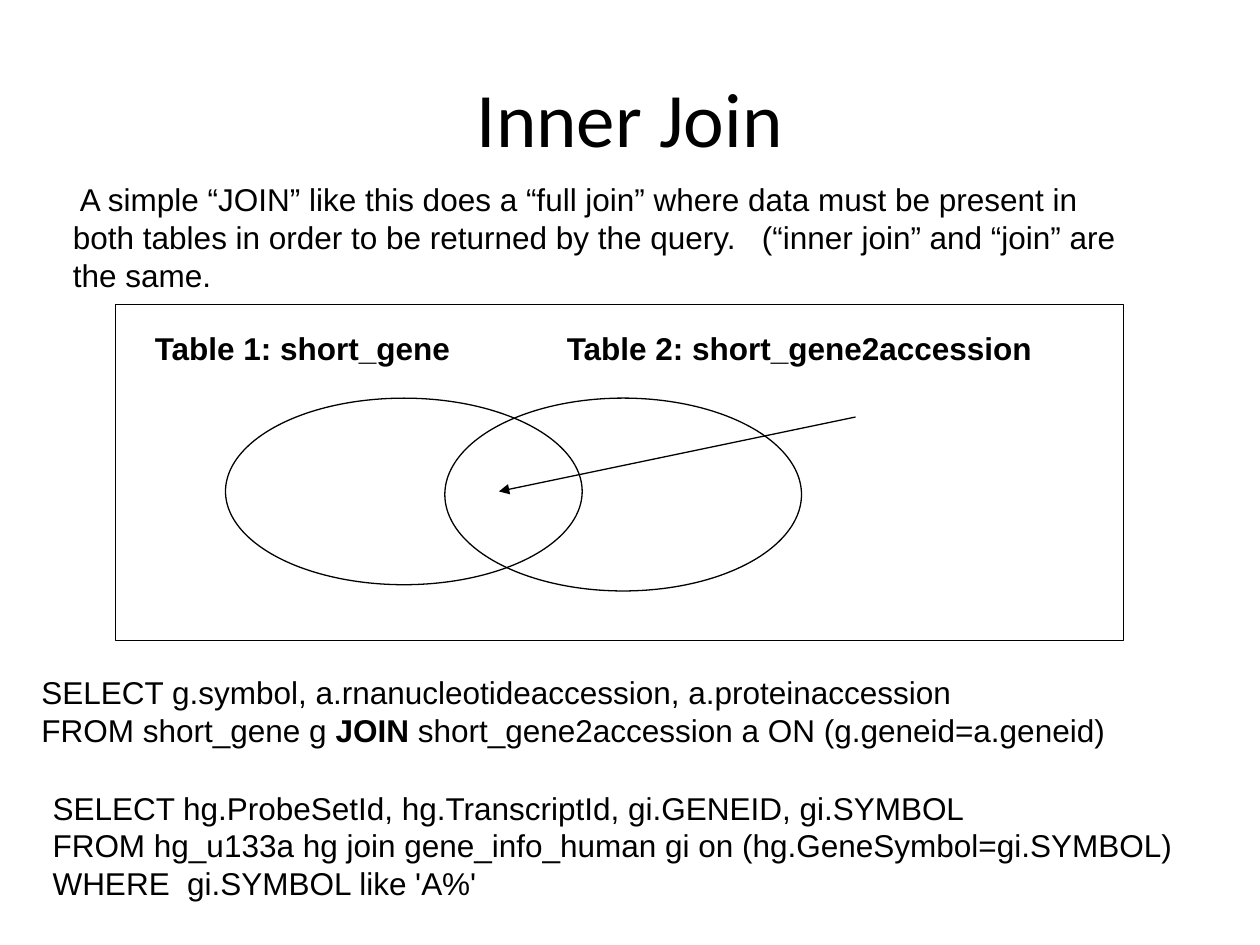
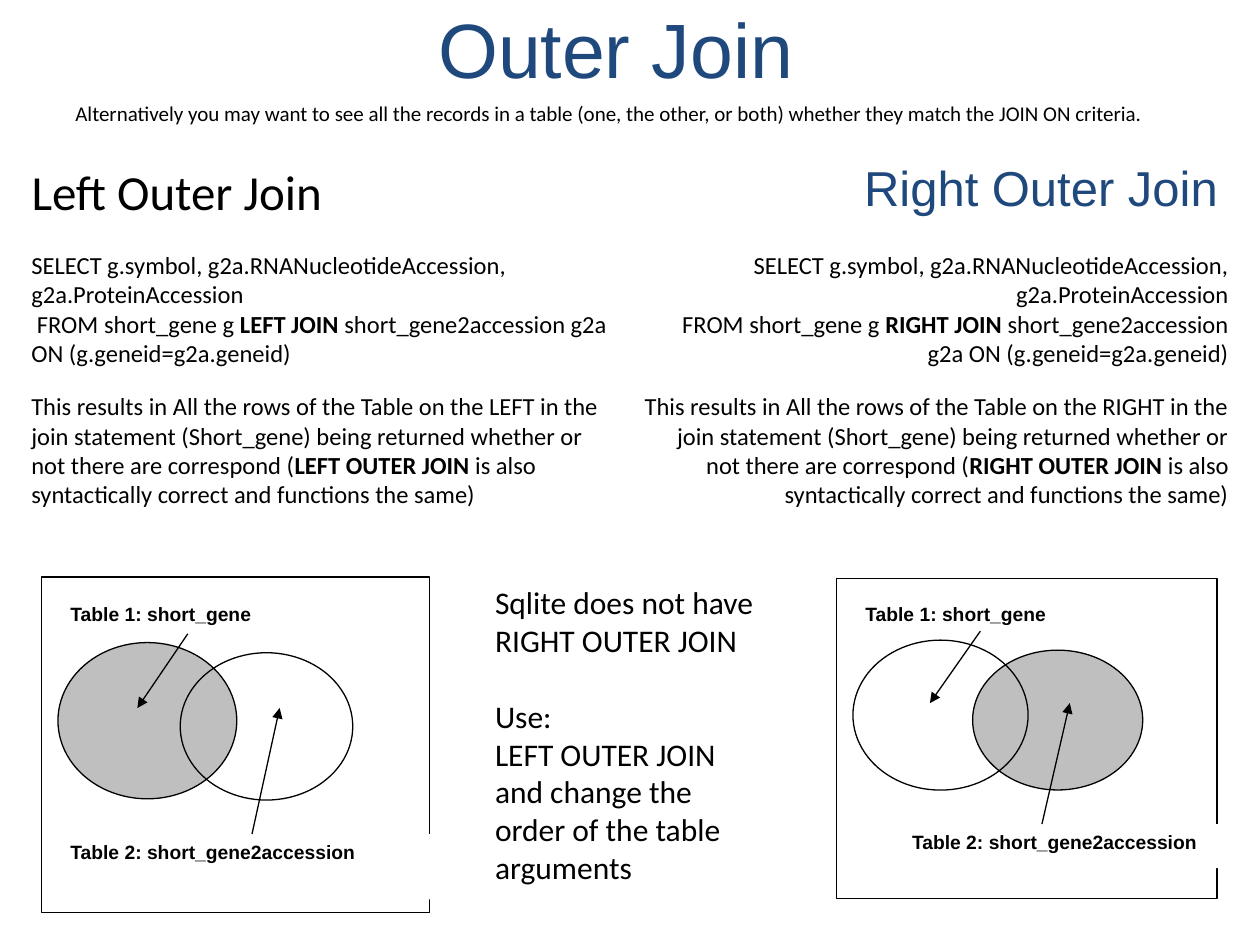
"""Builds two slides that explain inner and outer joins with Venn diagrams."""
from lxml.etree import SubElement
from pptx import Presentation
from pptx.dml.color import RGBColor
from pptx.enum.shapes import MSO_CONNECTOR, MSO_SHAPE
from pptx.enum.text import MSO_ANCHOR, MSO_AUTO_SIZE, PP_ALIGN
from pptx.oxml.ns import qn
from pptx.util import Pt

BLACK, WHITE, GREY, NAVY = "000000", "FFFFFF", "BFBFBF", "1F497D"
LEFT, CENTER, RIGHT = PP_ALIGN.LEFT, PP_ALIGN.CENTER, PP_ALIGN.RIGHT
TOP, MIDDLE = MSO_ANCHOR.TOP, MSO_ANCHOR.MIDDLE


def color(hex_code):
    return RGBColor.from_string(hex_code)


class Deck:
    def __init__(self, width, height):
        self.show = Presentation()
        self.show.slide_width, self.show.slide_height = Pt(width), Pt(height)
        self.slide = None

    def new_slide(self):
        self.slide = self.show.slides.add_slide(self.show.slide_layouts[5])

    def set_lines(self, frame, lines, size, face="Arial", ink=BLACK, align=LEFT,
                  anchor=TOP, bold=None, gaps=None, bottom=3.6):
        frame.word_wrap, frame.auto_size = True, MSO_AUTO_SIZE.NONE
        frame.vertical_anchor = anchor
        frame.margin_bottom = Pt(bottom)
        for number, line in enumerate(lines):
            paragraph = frame.paragraphs[0] if number == 0 else frame.add_paragraph()
            paragraph.alignment = align
            paragraph.space_before = Pt((gaps or {}).get(number, 0))
            paragraph.font.size, paragraph.font.name = Pt(size), face
            paragraph.font.color.rgb = color(ink)
            paragraph.font.bold = bold
            for part, words in enumerate(line.split("**")):
                run = paragraph.add_run()
                run.text = words
                if part % 2:
                    run.font.bold = True

    def title(self, box, words, size, align):
        heading = self.slide.shapes.title
        heading.left, heading.top, heading.width, heading.height = map(Pt, box)
        self.set_lines(heading.text_frame, [words], size, "Calibri",
                       align=align, anchor=MIDDLE)

    def text(self, box, lines, size, **style):
        area = self.slide.shapes.add_textbox(*map(Pt, box))
        self.set_lines(area.text_frame, lines, size, **style)

    def shape(self, kind, box, fill=None, outlined=True):
        figure = self.slide.shapes.add_shape(kind, *map(Pt, box))
        figure.shadow.inherit = False
        if fill:
            figure.fill.solid()
            figure.fill.fore_color.rgb = color(fill)
        else:
            figure.fill.background()
        if outlined:
            figure.line.color.rgb = color(BLACK)
            figure.line.width = Pt(0.75)
        else:
            figure.line.fill.background()
        return figure

    def label(self, box, words, size):
        plate = self.shape(MSO_SHAPE.RECTANGLE, box, WHITE, outlined=False)
        self.set_lines(plate.text_frame, [words], size, bold=True)

    def arrow(self, ends):
        pointer = self.slide.shapes.add_connector(MSO_CONNECTOR.STRAIGHT, *map(Pt, ends))
        pointer.line.color.rgb = color(BLACK)
        pointer.line.width = Pt(0.75)
        properties = pointer._element.spPr
        SubElement(properties.find(qn("a:ln")), qn("a:tailEnd"), type="triangle")
        SubElement(properties, qn("a:effectLst"))

    def venn(self, frame, labels, circles, arrows, size):
        self.shape(MSO_SHAPE.RECTANGLE, frame)
        names = ["Table 1: short_gene", "Table 2: short_gene2accession"]
        for box, name in zip(labels, names):
            self.label(box, name, size)
        for box, fill in circles:
            self.shape(MSO_SHAPE.OVAL, box, fill)
        for ends in arrows:
            self.arrow(ends)


def outer_join_lines(side):
    return [
        "SELECT g.symbol, g2a.RNANucleotideAccession, g2a.ProteinAccession",
        f" FROM short_gene g **{side} JOIN** short_gene2accession g2a ON (g.geneid=g2a.geneid)",
        f"This results in All the rows of the Table on the {side} in the join statement "
        "(Short_gene) being returned whether or not there are correspond "
        f"(**{side} OUTER JOIN** is also syntactically correct and functions the same)",
    ]


deck = Deck(720, 540)

deck.new_slide()
deck.title((36, 21.6, 648, 90), "Inner Join", 44, CENTER)
deck.venn(
    frame=(66.2, 174.2, 576, 192),
    labels=[(81.4, 184.3, 219.6, 26.6), (316.8, 184.3, 303.1, 42.5)],
    circles=[((128.9, 227.5, 203.8, 106.6), None), ((254.2, 227.5, 203.8, 110.2), None)],
    arrows=[(488.9, 238.3, 285.1, 280.8)],
    size=18)
deck.text((34.6, 99.4, 625, 72), [
    " A simple “JOIN” like this does a “full join” where data must be present in both "
    "tables in order to be returned by the query.   (“inner join” and “join” are the same."], 18)
deck.text((16.6, 380.9, 673.2, 50.4), [
    "SELECT g.symbol, a.rnanucleotideaccession, a.proteinaccession",
    "FROM short_gene g **JOIN** short_gene2accession a ON (g.geneid=a.geneid)"], 18)
deck.text((23, 447.1, 670, 72.7), [
    "SELECT hg.ProbeSetId, hg.TranscriptId, gi.GENEID, gi.SYMBOL",
    "FROM hg_u133a hg join gene_info_human gi on (hg.GeneSymbol=gi.SYMBOL)",
    "WHERE  gi.SYMBOL like 'A%'"], 18)

deck.new_slide()
deck.title((10.8, 77.8, 306, 62.6), "Left Outer Join", 28, LEFT)
deck.text((486.7, 75.6, 221.8, 62.6), ["Right Outer Join"], 28, ink=NAVY, anchor=MIDDLE)
for left, side, align in [(10.8, "LEFT", LEFT), (360, "RIGHT", RIGHT)]:
    deck.text((left, 121.7, 349.2, 214.6), outer_join_lines(side), 14, face="Calibri",
              align=align, anchor=MIDDLE, gaps={2: 13.4}, bottom=28)
deck.venn(
    frame=(23.8, 329.8, 221.8, 191.5),
    labels=[(33.1, 340.6, 159.1, 25.2), (33.1, 476.6, 213.1, 37.4)],
    circles=[((33.1, 367.2, 102.2, 89.3), GREY), ((103, 373, 98.6, 84.2), None)],
    arrows=[(107.3, 362.2, 78.5, 404.6), (144, 476.6, 159.8, 404.6)],
    size=11)
deck.venn(
    frame=(478.1, 330.5, 217.4, 182.9),
    labels=[(487.4, 340.6, 146.9, 23.8), (514.1, 470.9, 182.2, 25.2)],
    circles=[((555.8, 371.5, 97.2, 79.9), GREY), ((487.4, 365.8, 100.1, 85.7), None)],
    arrows=[(560.2, 360.7, 531.4, 401.8), (595.4, 470.9, 611.3, 401.8)],
    size=11)
deck.text((28, 0.7, 648, 53.3), ["Outer Join"], 44, ink=NAVY, align=CENTER, anchor=MIDDLE)
deck.text((36, 54, 684, 21.6), [
    "Alternatively you may want to see all the records in a table (one, the other, or both) "
    "whether they match the JOIN ON criteria."], 12, face="Calibri")
deck.text((275.8, 329.8, 167.8, 181.4), [
    "Sqlite does not have RIGHT OUTER JOIN",
    "Use:",
    "LEFT OUTER JOIN and change the order of the table arguments"],
    18, face="Calibri", gaps={1: 21.6})

deck.show.save("out.pptx")
